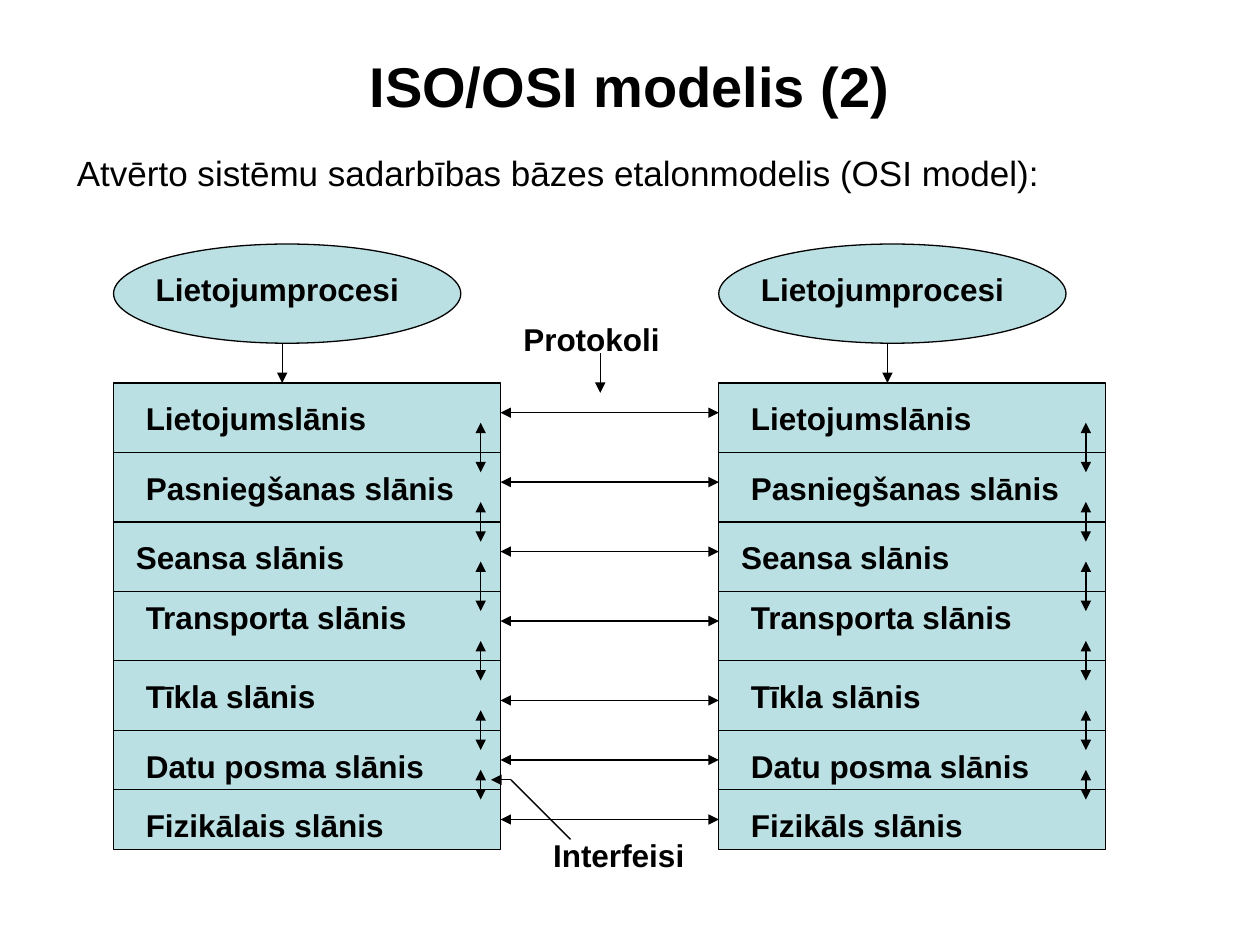
import lxml.etree
import pptx
import pptx.dml.color
import pptx.enum.shapes
import pptx.enum.text
import pptx.oxml.ns
import pptx.util

Cm = pptx.util.Cm
Pt = pptx.util.Pt
qn = pptx.oxml.ns.qn

COLORS = {"ink": "000000", "layer": "BBE0E3"}
TITLE = {"size": Pt(32), "bold": True}
INTRO = {"size": Pt(20), "bold": False}
LABEL = {"size": Pt(18), "bold": True}

# All positions are in centimetres
STACK_LEFTS = (2.29, 14.49)
STACK_TOP, STACK_WIDTH = 7.72, 7.8
PROCESS_TOP, PROCESS_WIDTH, PROCESS_HEIGHT = 4.92, 7, 2
LABEL_HEIGHT = 1.02

# Name, row height, label (left, top, width) and protocol arrow offset in the row
LAYERS = [
    ("Lietojumslānis", 1.4, (0.4, 0.2, 7), 0.6),
    ("Pasniegšanas slānis", 1.4, (0.4, 0.2, 7), 0.6),
    ("Seansa slānis", 1.4, (0.2, 0.2, 7.4), 0.6),
    ("Transporta slānis", 1.4, (0.4, 0, 7), 0.6),
    ("Tīkla slānis", 1.4, (0.4, 0.2, 7.2), 0.8),
    ("Datu posma slānis", 1.2, (0.4, 0.2, 7.2), 0.6),
    ("Fizikālais slānis", 1.2, (0.4, 0.2, 7), 0.6),
]
# Reach of each interface arrow above and below its border
INTERFACES = [(0.6, 0.4), (0.4, 0.4), (0.6, 0.4),
              (0.4, 0.4), (0.4, 0.4), (0.4, 0.2)]
ROW_TOPS = [STACK_TOP + sum(layer[1] for layer in LAYERS[:i])
            for i in range(len(LAYERS))]
STACK_HEIGHT = sum(layer[1] for layer in LAYERS)


def color(name):
    return pptx.dml.color.RGBColor.from_string(COLORS[name])


def add_text(slide, text, left, top, width, height, style,
             margin_top=0.13, margin_left=0.25, hanging=0, grow=False):
    box = slide.shapes.add_textbox(Cm(left), Cm(top), Cm(width), Cm(height))
    frame = box.text_frame
    frame_format = {
        "word_wrap": True,
        "vertical_anchor": pptx.enum.text.MSO_ANCHOR.TOP,
        "margin_left": Cm(margin_left),
        "margin_right": Cm(0.25),
        "margin_top": Cm(margin_top),
        "margin_bottom": Cm(0.13),
    }
    for name, value in frame_format.items():
        setattr(frame, name, value)
    if grow:
        frame.auto_size = pptx.enum.text.MSO_AUTO_SIZE.SHAPE_TO_FIT_TEXT
    paragraph = frame.paragraphs[0]
    if hanging:
        properties = paragraph._p.get_or_add_pPr()
        properties.set("marL", str(Cm(hanging)))
        properties.set("indent", str(-Cm(hanging)))
    run = paragraph.add_run()
    run.text = text
    for name, value in {"name": "Arial", **style}.items():
        setattr(run.font, name, value)
    run.font.color.rgb = color("ink")


def add_label(slide, text, left, top, width):
    add_text(slide, text, left, top, width, LABEL_HEIGHT, LABEL, grow=True)


def add_block(slide, kind, left, top, width, height):
    block = slide.shapes.add_shape(kind, Cm(left), Cm(top), Cm(width), Cm(height))
    block.shadow.inherit = False
    block.fill.solid()
    block.fill.fore_color.rgb = color("layer")
    block.line.color.rgb = color("ink")
    block.line.width = Pt(0.75)


def add_line(slide, start, end, arrows=()):
    """Draw a line; arrows may hold headEnd (start) and tailEnd (end)."""
    line = slide.shapes.add_connector(
        pptx.enum.shapes.MSO_CONNECTOR.STRAIGHT,
        Cm(start[0]), Cm(start[1]), Cm(end[0]), Cm(end[1]))
    line.line.color.rgb = color("ink")
    line.line.width = Pt(0.75)
    outline = line.line._get_or_add_ln()
    for arrow in arrows:
        lxml.etree.SubElement(outline, qn("a:" + arrow), type="triangle")
    lxml.etree.SubElement(line._element.spPr, qn("a:effectLst"))


ONE_WAY = ("tailEnd",)
TWO_WAY = ("headEnd", "tailEnd")


def add_system(slide, left, layer_names):
    shapes = pptx.enum.shapes.MSO_SHAPE
    add_block(slide, shapes.OVAL, left, PROCESS_TOP, PROCESS_WIDTH, PROCESS_HEIGHT)
    add_block(slide, shapes.RECTANGLE, left, STACK_TOP, STACK_WIDTH, STACK_HEIGHT)

    # Borders between layers
    for border in ROW_TOPS[1:]:
        add_line(slide, (left, border), (left + STACK_WIDTH, border))

    # Layer and process names
    for name, row_top, layer in zip(layer_names, ROW_TOPS, LAYERS):
        dx, dy, width = layer[2]
        add_label(slide, name, left + dx, row_top + dy, width)
    add_label(slide, "Lietojumprocesi", left + 0.6, PROCESS_TOP + 0.4, 5.8)

    # Process arrow and interfaces
    process_x, interface_x = left + 3.4, left + 7.4
    add_line(slide, (process_x, PROCESS_TOP + PROCESS_HEIGHT),
             (process_x, STACK_TOP), ONE_WAY)
    for border, (above, below) in zip(ROW_TOPS[1:], INTERFACES):
        add_line(slide, (interface_x, border - above),
                 (interface_x, border + below), TWO_WAY)


def main():
    deck = pptx.Presentation()
    deck.slide_width, deck.slide_height = Cm(25.4), Cm(19.05)
    slide = deck.slides.add_slide(deck.slide_layouts[6])

    # Title and introduction
    add_text(slide, "ISO/OSI modelis (2)", 2.5, 0.7, 20, 1.6, TITLE,
             margin_top=0.34, margin_left=4.95)
    add_text(slide, "Atvērto sistēmu sadarbības bāzes etalonmodelis (OSI model):",
             1.3, 2.92, 23, 14.6, INTRO, hanging=1.7)

    # The two communicating systems
    left_names = [layer[0] for layer in LAYERS]
    right_names = left_names[:-1] + ["Fizikāls slānis"]
    for left, names in zip(STACK_LEFTS, (left_names, right_names)):
        add_system(slide, left, names)

    # Protocols between equal layers
    for row_top, layer in zip(ROW_TOPS, LAYERS):
        y = row_top + layer[3]
        add_line(slide, (STACK_LEFTS[0] + STACK_WIDTH, y), (STACK_LEFTS[1], y), TWO_WAY)
    add_label(slide, "Protokoli", 10.3, 6.32, 4.2)
    add_line(slide, (12.1, 7.12), (12.1, 7.92), ONE_WAY)

    # Pointer to the interfaces
    add_label(slide, "Interfeisi", 10.9, 16.72, 4.2)
    add_line(slide, (11.5, 16.92), (10.3, 15.72))
    add_line(slide, (10.3, 15.72), (9.9, 15.72), ONE_WAY)

    deck.save("out.pptx")


if __name__ == "__main__":
    main()
